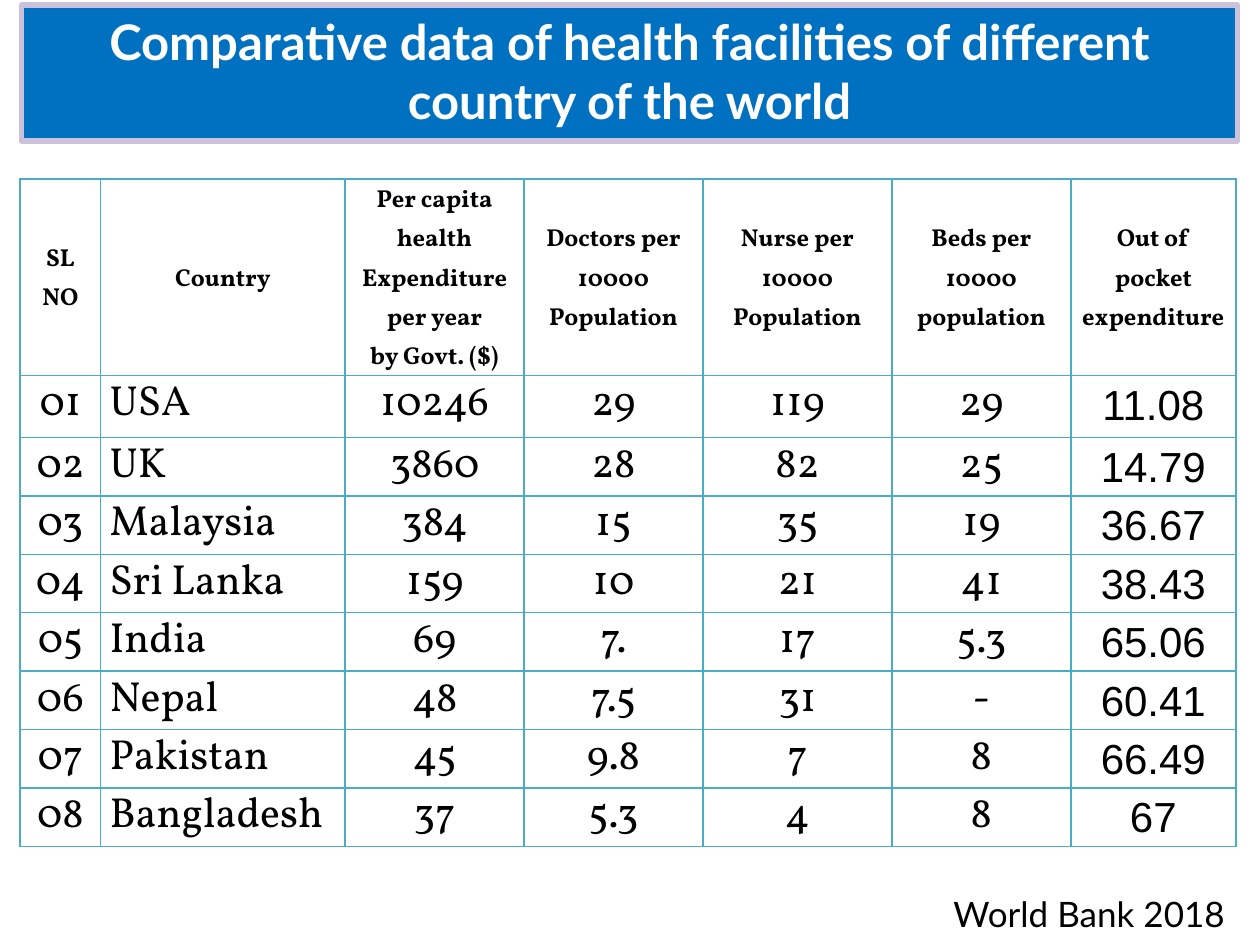
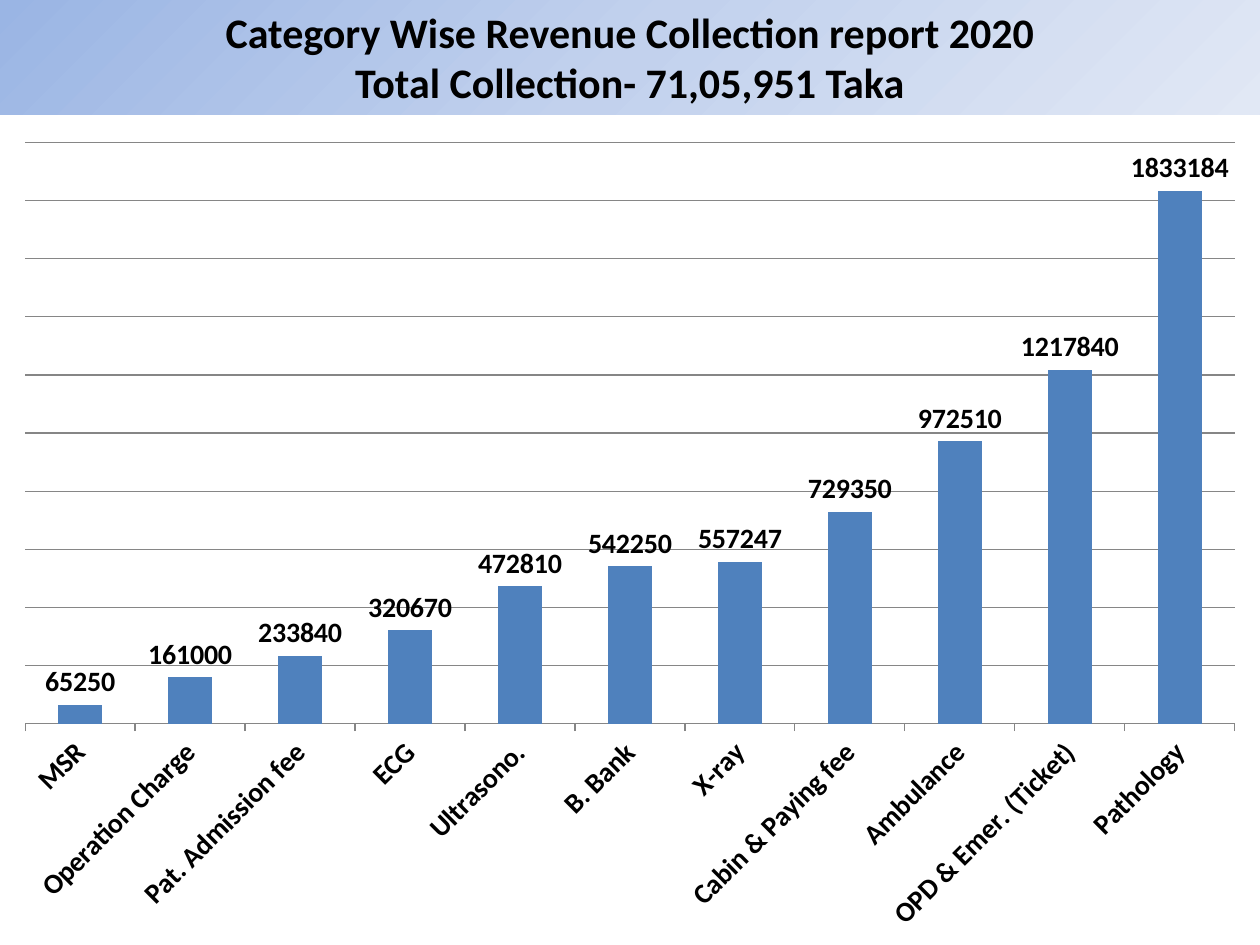
import pptx
import pptx.util
import pptx.chart.data
import pptx.dml.color
import pptx.enum.chart
import pptx.enum.shapes
import pptx.enum.text
import pptx.oxml
from lxml import etree

Inches = pptx.util.Inches
Pt = pptx.util.Pt
ALIGN = pptx.enum.text.PP_ALIGN
ANCHOR = pptx.enum.text.MSO_ANCHOR
NS = 'xmlns:a="http://schemas.openxmlformats.org/drawingml/2006/main"'
NS_C = 'xmlns:c="http://schemas.openxmlformats.org/drawingml/2006/chart"'
BLACK, WHITE = "000000", "FFFFFF"


def rgb(value):
    return pptx.dml.color.RGBColor.from_string(value)


def write(tf, text, align, color, para=None, **font):
    for i, line in enumerate(text.split("\n")):
        p = tf.paragraphs[0] if i == 0 else tf.add_paragraph()
        for name, value in {"alignment": align, **(para or {})}.items():
            setattr(p, name, value)
        r = p.add_run()
        r.text = line
        r.font.color.rgb = rgb(color)
        for name, value in font.items():
            setattr(r.font, name, value)


prs = pptx.Presentation()
prs.slide_width, prs.slide_height = Inches(10), Inches(7.5)
comparison, revenue = [prs.slides.add_slide(prs.slide_layouts[6]) for _ in range(2)]

header = ["SL NO", "Country", "Per capita health\nExpenditure per year\nby Govt. ($)",
          "Doctors per 10000\nPopulation", "Nurse per 10000\nPopulation",
          "Beds per 10000 population", "Out of pocket expenditure"]
countries = [
    ("USA", "10246", "29", "119", "29", "11.08"),
    ("UK", "3860", "28", "82", "25", "14.79"),
    ("Malaysia", "384", "15", "35", "19", "36.67"),
    ("Sri Lanka", "159", "10", "21", "41", "38.43"),
    ("India", "69", "7.", "17", "5.3", "65.06"),
    ("Nepal", "48", "7.5", "31", "-", "60.41"),
    ("Pakistan", "45", "9.8", "7", "8", "66.49"),
    ("Bangladesh", "37", "5.3", "4", "8", "67"),
]
rows = [header] + [(f"{n:02d}", *c) for n, c in enumerate(countries, 1)]
widths = [0.64, 1.94, 1.42, 1.42, 1.5, 1.42, 1.31]
heights = [1.01, 0.49] + [0.46] * 7

tbl = comparison.shapes.add_table(len(rows), len(widths), Inches(0.16), Inches(1.42),
                                  Inches(9.65), Inches(5.07)).table
tbl.first_row = tbl.horz_banding = False
for col, width in zip(tbl.columns, widths):
    col.width = Inches(width)
for row, height in zip(tbl.rows, heights):
    row.height = Inches(height)

last = len(widths) - 1
for i, row in enumerate(rows):
    for j, text in enumerate(row):
        cell = tbl.cell(i, j)
        is_head, is_last = i == 0, j == last
        side = Inches(0 if is_last and not is_head else 0.07)
        for name, value in {"margin_left": side, "margin_right": side,
                            "margin_top": 0, "margin_bottom": 0,
                            "vertical_anchor": ANCHOR.MIDDLE if is_head else ANCHOR.TOP}.items():
            setattr(cell, name, value)
        cell.fill.background()
        for k, edge in enumerate(["lnL", "lnR", "lnT", "lnB"]):
            cell._tc.get_or_add_tcPr().insert(k, pptx.oxml.parse_xml(
                f'<a:{edge} {NS} w="12700"><a:solidFill><a:srgbClr val="4BACC6"/>'
                f'</a:solidFill></a:{edge}>'))
        para = {"line_spacing": 1.15} if is_head or is_last else {}
        if is_last and not is_head:
            para["space_after"] = Pt(10)
        write(cell.text_frame, text,
              ALIGN.JUSTIFY if j == 1 and not is_head else ALIGN.CENTER, BLACK, para,
              size=Pt(14 if is_head else 24), bold=is_head,
              name="Arial" if is_last and not is_head else "Vollkorn")

boxes = [
    (comparison, (7.17, 7.03, 2.65, 0.44), "World Bank 2018", ALIGN.RIGHT, ANCHOR.MIDDLE,
     WHITE, None, BLACK, {"size": Pt(20), "name": "Lato", "bold": False}),
    (comparison, (0.17, 0.04, 9.65, 1.08),
     "Comparative data of health facilities of different country of the world",
     ALIGN.CENTER, ANCHOR.TOP, "0070C0", "CCC1DA", WHITE,
     {"size": Pt(28), "name": "Lato", "bold": True}),
    (revenue, (0, 0, 10, 0.91),
     "Category Wise Revenue Collection report 2020\nTotal Collection- 71,05,951 Taka",
     ALIGN.CENTER, ANCHOR.TOP, ["9AB5E4", "C2D1ED", "E1E8F5"], None, BLACK,
     {"size": Pt(24), "name": "Calibri", "bold": True}),
]

cd = pptx.chart.data.CategoryChartData()
cd.categories = ["MSR", "Operation Charge", "Pat. Admission fee", "ECG", "Ultrasono.", "B. Bank",
                 "X-ray", "Cabin & Paying fee", "Ambulance", "OPD & Emer. (Ticket)", "Pathology"]
cd.add_series("Series 1", [65250, 161000, 233840, 320670, 472810, 542250, 557247,
                           729350, 972510, 1217840, 1833184])
chart = revenue.shapes.add_chart(pptx.enum.chart.XL_CHART_TYPE.COLUMN_CLUSTERED, Inches(0),
                                 Inches(1), Inches(10), Inches(6.5), cd).chart
chart.has_legend = chart.has_title = False
plot = chart.plots[0]
plot.vary_by_categories = False
plot.gap_width = 150
fill = plot.series[0].format.fill
fill.solid()
fill.fore_color.rgb = rgb("4F81BD")
plot.has_data_labels = True
labels = plot.data_labels
labels.show_value = True
labels.position = pptx.enum.chart.XL_LABEL_POSITION.OUTSIDE_END
cat, val = chart.category_axis, chart.value_axis
for name, value in {"visible": False, "has_major_gridlines": True, "minimum_scale": 0,
                    "maximum_scale": 2000000, "major_unit": 200000}.items():
    setattr(val, name, value)
cat.major_tick_mark = pptx.enum.chart.XL_TICK_MARK.OUTSIDE
for line in (cat.format.line, val.major_gridlines.format.line):
    line.color.rgb = rgb("868686")
    line.width = Pt(0.75)
for font, size, bold in [(chart.font, 10, False), (labels.font, 16, True),
                         (cat.tick_labels.font, 16, True)]:
    for name, value in {"size": Pt(size), "bold": bold, "name": "Calibri"}.items():
        setattr(font, name, value)
    font.color.rgb = rgb(BLACK)
cat._element.txPr.bodyPr.set("rot", "-2700000")

area = chart._chartSpace.chart.plotArea
for old in area.findall("{*}layout"):
    area.remove(old)
frame = "".join(f'<c:{tag} val="{value}"/>' for tag, value in [
    ("layoutTarget", "inner"), ("xMode", "edge"), ("yMode", "edge"),
    ("x", 0.02), ("y", 0.02), ("w", 0.96), ("h", 0.71)])
area.insert(0, pptx.oxml.parse_xml(
    f'<c:layout {NS_C}><c:manualLayout>{frame}</c:manualLayout></c:layout>'))

for s, at, text, align, anchor, paint, border, color, font in boxes:
    sp = s.shapes.add_shape(pptx.enum.shapes.MSO_SHAPE.RECTANGLE, *map(Inches, at))
    sp.shadow.inherit = False
    if isinstance(paint, list):
        sp.fill.gradient()
        sp.fill.gradient_angle = 315
        stops = sp._element.spPr.find(".//{*}gsLst")
        for gs in list(stops):
            stops.remove(gs)
        for k, stop in enumerate(paint):
            stops.append(pptx.oxml.parse_xml(
                f'<a:gs {NS} pos="{k * 50000}"><a:srgbClr val="{stop}"/></a:gs>'))
    else:
        sp.fill.solid()
        sp.fill.fore_color.rgb = rgb(paint)
    if border:
        sp.line.color.rgb = rgb(border)
        sp.line.width = Pt(3)
    else:
        sp.line.fill.background()
    tf = sp.text_frame
    tf.word_wrap = True
    tf.vertical_anchor = anchor
    write(tf, text, align, color, **font)

prs.save("out.pptx")
